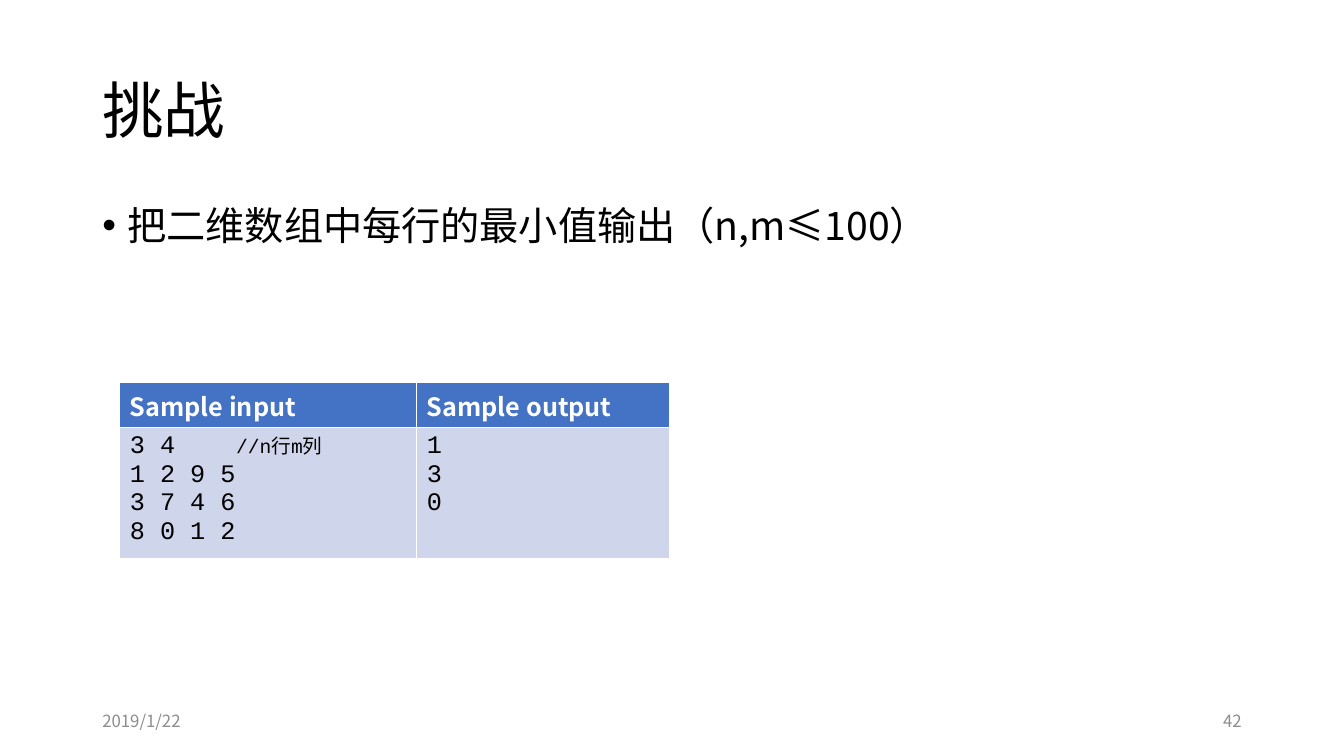
from lxml.etree import SubElement
from pptx import Presentation
from pptx.dml.color import RGBColor
from pptx.enum.text import MSO_ANCHOR, PP_ALIGN
from pptx.oxml.ns import qn
from pptx.util import Pt

BLACK = RGBColor(0, 0, 0)
WHITE = RGBColor(255, 255, 255)
GRAY = RGBColor(0x8C, 0x8C, 0x8C)
BLUE = RGBColor(0x44, 0x72, 0xC4)
PALE = RGBColor(0xCF, 0xD5, 0xEA)
SANS = "Noto Sans CJK SC"
MONO = "Courier New"


def write(frame, *lines, size=18, font=SANS, color=BLACK, bold=False,
          align=PP_ALIGN.LEFT, space=None, before=0, bullet=False, tab=None):
    for i, line in enumerate(lines):
        para = frame.add_paragraph() if i else frame.paragraphs[0]
        para.alignment = align
        para.space_before = Pt(before)
        if space:
            para.line_spacing = space
        props = para._p.get_or_add_pPr()
        if bullet:
            props.set("marL", str(Pt(18)))
            props.set("indent", str(Pt(-18)))
            SubElement(props, qn("a:buFont"), typeface="Arial")
            SubElement(props, qn("a:buChar"), char="•")
        parts = [(line, size)] if isinstance(line, str) else line
        if tab and len(parts) > 1:
            stops = SubElement(props, qn("a:tabLst"))
            SubElement(stops, qn("a:tab"), pos=str(Pt(tab)), algn="l")
        for words, points in parts:
            run = para.add_run()
            run.text = words
            run.font.size = Pt(points)
            run.font.name = font
            run.font.bold = bold
            run.font.color.rgb = color
            SubElement(run._r.get_or_add_rPr(), qn("a:ea"), typeface=font)


def label(slide, box, words, anchor=MSO_ANCHOR.MIDDLE, **style):
    frame = slide.shapes.add_textbox(*map(Pt, box)).text_frame
    frame.word_wrap = True
    frame.vertical_anchor = anchor
    write(frame, words, **style)


def footer(slide, box, date, page):
    left, top, width, height = box
    part = 216
    style = dict(size=12, color=GRAY)
    label(slide, (left, top, part, height), date, **style)
    label(slide, (left + width - part, top, part, height), page,
          align=PP_ALIGN.RIGHT, **style)


def sample(slide, box, columns):
    left, top, width, height = box
    head = 32.5
    table = slide.shapes.add_table(2, len(columns), *map(Pt, box)).table
    table.rows[0].height = Pt(head)
    table.rows[1].height = Pt(height - head)
    for i, (share, title, lines) in enumerate(columns):
        table.columns[i].width = Pt(width * share)
        top_cell, cell = table.cell(0, i), table.cell(1, i)
        for item, color in ((top_cell, BLUE), (cell, PALE)):
            item.fill.solid()
            item.fill.fore_color.rgb = color
        write(top_cell.text_frame, title, color=WHITE, bold=True)
        write(cell.text_frame, *lines, font=MONO, tab=76)


def main():
    deck = Presentation()
    deck.slide_width, deck.slide_height = Pt(960), Pt(540)
    slide = deck.slides.add_slide(deck.slide_layouts[6])
    left, width = 66, 828
    label(slide, (left, 28.75, width, 104.4), "挑战", size=44, space=0.9)
    footer(slide, (left, 500.5, width, 28.75), "2019/1/22", "42")
    label(slide, (left, 143.75, width, 342.6),
          "把二维数组中每行的最小值输出（n,m≤100）", anchor=MSO_ANCHOR.TOP,
          size=28, space=0.9, before=10, bullet=True)
    given = [[("3 4\t", 18), ("//n行m列", 14)], "1 2 9 5", "3 7 4 6", "8 0 1 2"]
    sample(slide, (85.5, 273, 393, 123), [
        (0.54, "Sample input", given),
        (0.46, "Sample output", ["1", "3", "0"]),
    ])
    deck.save("out.pptx")


if __name__ == "__main__":
    main()
